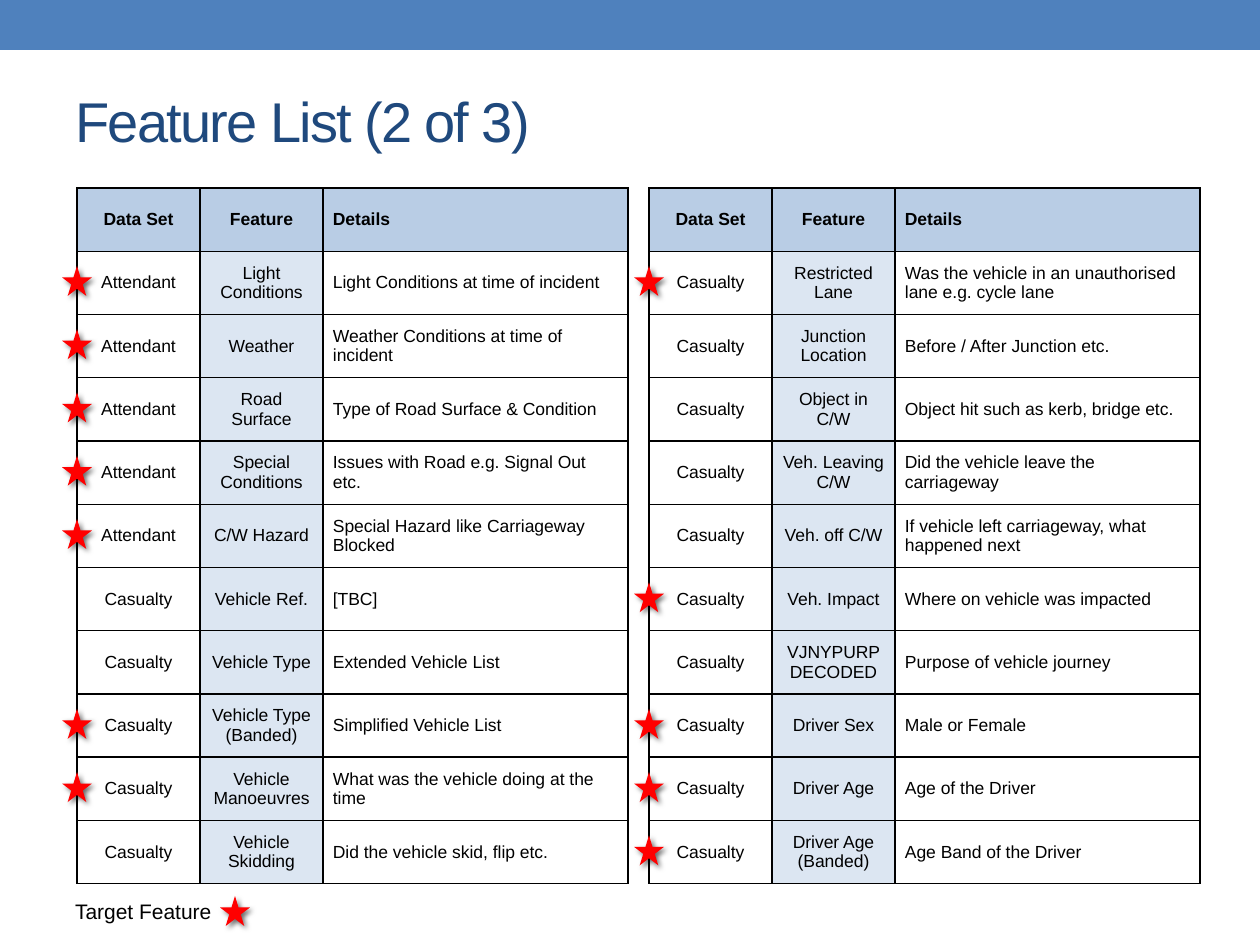
from dataclasses import dataclass

from lxml import etree
from pptx import Presentation, util as u
from pptx.dml.color import RGBColor
from pptx.enum import shapes, text
from pptx.oxml import ns

PIXEL = u.Inches(1) / 126


@dataclass(frozen=True)
class Theme:
    """Colours, font and type sizes of the slide."""
    font: str = "Arial"
    band: str = "4F81BD"
    title: str = "1F497D"
    ink: str = "000000"
    header: str = "B9CDE5"
    feature: str = "DCE6F2"
    star: str = "FF0000"
    title_size: int = 32
    label_size: int = 12
    table_size: int = 10


THEME = Theme()

TABLE_TOP, TABLE_HEIGHT = 188, 696
COLUMNS = (123, 123, 305)
STAR_SIZE = 30
HEADINGS = ("Data Set", "Feature", "Details")

LEFT_ROWS = [
    ("Attendant", "Light Conditions", "Light Conditions at time of incident"),
    ("Attendant", "Weather", "Weather Conditions at time of incident"),
    ("Attendant", "Road Surface", "Type of Road Surface & Condition"),
    ("Attendant", "Special Conditions", "Issues with Road e.g. Signal Out etc."),
    ("Attendant", "C/W Hazard", "Special Hazard like Carriageway Blocked"),
    ("Casualty", "Vehicle Ref.", "[TBC]"),
    ("Casualty", "Vehicle Type", "Extended Vehicle List"),
    ("Casualty", "Vehicle Type (Banded)", "Simplified Vehicle List"),
    ("Casualty", "Vehicle Manoeuvres", "What was the vehicle doing at the time"),
    ("Casualty", "Vehicle Skidding", "Did the vehicle skid, flip etc."),
]
RIGHT_ROWS = [
    ("Casualty", "Restricted Lane",
     "Was the vehicle in an unauthorised lane e.g. cycle lane"),
    ("Casualty", "Junction Location", "Before / After Junction etc."),
    ("Casualty", "Object in C/W", "Object hit such as kerb, bridge etc."),
    ("Casualty", "Veh. Leaving C/W", "Did the vehicle leave the carriageway"),
    ("Casualty", "Veh. off C/W", "If vehicle left carriageway, what happened next"),
    ("Casualty", "Veh. Impact", "Where on vehicle was impacted"),
    ("Casualty", "VJNYPURP DECODED", "Purpose of vehicle journey"),
    ("Casualty", "Driver Sex", "Male or Female"),
    ("Casualty", "Driver Age", "Age of the Driver"),
    ("Casualty", "Driver Age (Banded)", "Age Band of the Driver"),
]
# Table left edge, rows, and the row numbers of the target features
TABLES = [
    (77, LEFT_ROWS, (1, 2, 3, 4, 5, 8, 9)),
    (649, RIGHT_ROWS, (1, 6, 8, 9, 10)),
]


def px(*lengths):
    """Turn pixels into a list of EMU lengths."""
    return [u.Emu(round(length * PIXEL)) for length in lengths]


def style_paragraph(paragraph, size, color, align, bold=False):
    """Set the font and alignment of a paragraph."""
    paragraph.alignment = align
    font = paragraph.font
    font.name, font.size, font.bold = THEME.font, u.Pt(size), bold
    font.color.rgb = RGBColor.from_string(color)


def add_shape(slide, kind, box, color):
    """Add a filled preset shape without an outline."""
    shape = slide.shapes.add_shape(kind, *px(*box))
    shape.shadow.inherit = False
    shape.fill.solid()
    shape.fill.fore_color.rgb = RGBColor.from_string(color)
    shape.line.fill.background()
    return shape


def add_star(slide, center_x, center_y):
    """Add a target star with a soft shadow around a centre point."""
    box = (center_x - STAR_SIZE / 2, center_y - STAR_SIZE / 2, STAR_SIZE, STAR_SIZE)
    star = add_shape(slide, shapes.MSO_SHAPE.STAR_5_POINT, box, THEME.star)
    effects = star._element.spPr.find(ns.qn("a:effectLst"))
    shadow = etree.SubElement(
        effects, ns.qn("a:outerShdw"), blurRad=str(u.Pt(3)), dist=str(u.Pt(2)),
        dir=str(45 * 60000), algn="tl", rotWithShape="0")
    color = etree.SubElement(shadow, ns.qn("a:srgbClr"), val=THEME.ink)
    etree.SubElement(color, ns.qn("a:alpha"), val="60000")


def add_text(slide, box, words, size, color, align, spacing=0):
    """Add a one-line text box, with letter spacing in hundredths of a point."""
    frame = slide.shapes.add_textbox(*px(*box)).text_frame
    frame.word_wrap = True
    frame.vertical_anchor = text.MSO_ANCHOR.MIDDLE
    paragraph = frame.paragraphs[0]
    run = paragraph.add_run()
    run.text = words
    style_paragraph(paragraph, size, color, align)
    if spacing:
        run.font._element.set("spc", str(spacing))


def set_borders(cell):
    """Draw a thin line on all four sides of a cell."""
    properties = cell._tc.get_or_add_tcPr()
    for side in ("lnL", "lnR", "lnT", "lnB"):
        line = etree.SubElement(properties, ns.qn(f"a:{side}"), w=str(u.Pt(1)))
        fill = etree.SubElement(line, ns.qn("a:solidFill"))
        etree.SubElement(fill, ns.qn("a:srgbClr"), val=THEME.ink)


def fill_cell(cell, words, is_header, column):
    """Write and style one cell by its row kind and column."""
    cell.text = words
    cell.vertical_anchor = text.MSO_ANCHOR.MIDDLE
    cell.margin_left, cell.margin_right, cell.margin_top, cell.margin_bottom = px(10, 10, 6, 6)
    align = text.PP_ALIGN.LEFT if column == 2 else text.PP_ALIGN.CENTER
    style_paragraph(cell.text_frame.paragraphs[0], THEME.table_size, THEME.ink,
                    align, is_header)
    set_borders(cell)
    if is_header or column == 1:
        cell.fill.solid()
        color = THEME.header if is_header else THEME.feature
        cell.fill.fore_color.rgb = RGBColor.from_string(color)
    else:
        cell.fill.background()


def add_feature_table(slide, left, rows):
    """Add a feature table with its heading row."""
    content = [HEADINGS, *rows]
    box = px(left, TABLE_TOP, sum(COLUMNS), TABLE_HEIGHT)
    table = slide.shapes.add_table(len(content), len(COLUMNS), *box).table
    table.first_row = table.horz_banding = False
    for column, width in zip(table.columns, px(*COLUMNS)):
        column.width = width
    for row_number, row in enumerate(content):
        for column_number, words in enumerate(row):
            fill_cell(table.cell(row_number, column_number), words,
                      row_number == 0, column_number)


def main():
    """Build and save the slide."""
    presentation = Presentation()
    presentation.slide_width, presentation.slide_height = px(1260, 945)
    slide = presentation.slides.add_slide(presentation.slide_layouts[6])

    add_shape(slide, shapes.MSO_SHAPE.RECTANGLE, (0, 0, 1260, 50), THEME.band)
    add_text(slide, (63, 52, 1134, 136), "Feature List (2 of 3)", THEME.title_size,
             THEME.title, text.PP_ALIGN.LEFT, spacing=-100)
    for left, rows, _ in TABLES:
        add_feature_table(slide, left, rows)

    add_text(slide, (39, 892, 185, 38), "Target Feature", THEME.label_size,
             THEME.ink, text.PP_ALIGN.RIGHT)
    add_star(slide, 235, 911)
    for left, rows, targets in TABLES:
        row_height = TABLE_HEIGHT / (len(rows) + 1)
        for row_number in targets:
            add_star(slide, left, TABLE_TOP - 2 + row_height * (row_number + 0.5))

    presentation.save("out.pptx")


main()
